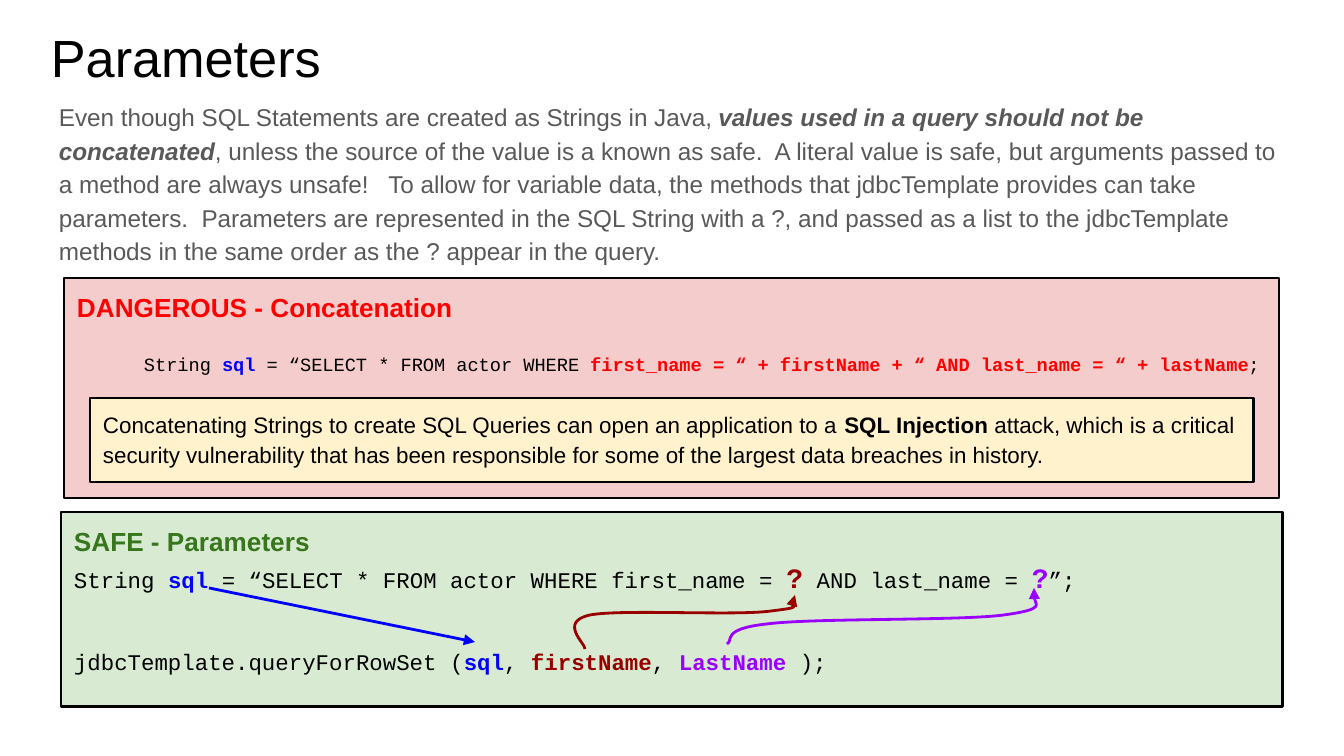
from lxml.etree import SubElement
from pptx import Presentation
from pptx.dml.color import RGBColor as Color
from pptx.enum.shapes import MSO_CONNECTOR as Connector, MSO_SHAPE as Shape
from pptx.enum.text import MSO_ANCHOR as Anchor, PP_ALIGN as Align
from pptx.oxml.ns import qn
from pptx.util import Pt

SCALE = 914400 / 134.4  # EMU per px
BLACK = Color(0x00, 0x00, 0x00)
GREY = Color(0x59, 0x59, 0x59)
RED = Color(0xFF, 0x00, 0x00)
BLUE = Color(0x00, 0x00, 0xFF)
GREEN = Color(0x38, 0x76, 0x1D)
MAROON = Color(0x98, 0x00, 0x00)
PURPLE = Color(0x99, 0x00, 0xFF)
PINK_FILL = Color(0xF4, 0xCC, 0xCC)
GREEN_FILL = Color(0xD9, 0xEA, 0xD3)
CREAM_FILL = Color(0xFF, 0xF2, 0xCC)
SANS, MONO = "Arial", "Courier New"


def px(length):
    return round(length * SCALE)


class Page:
    def __init__(self, deck):
        self.shapes = deck.slides.add_slide(deck.slide_layouts[6]).shapes

    def frame(self, box):
        frame = box.text_frame
        frame.word_wrap = True
        frame.vertical_anchor = Anchor.TOP
        frame.margin_left = frame.margin_right = px(13)
        frame.margin_top = frame.margin_bottom = px(13)
        return frame

    def text(self, *area):
        return self.frame(self.shapes.add_textbox(*map(px, area)))

    def panel(self, area, fill, weight):
        box = self.shapes.add_shape(Shape.RECTANGLE, *map(px, area))
        box.shadow.inherit = False
        box.fill.solid()
        box.fill.fore_color.rgb = fill
        box.line.color.rgb = BLACK
        box.line.width = Pt(weight)
        return self.frame(box)

    def add_spans(self, para, font, size, spans, before=0, spacing=1.0):
        """Each span is (text, colour) plus an optional style."""
        para.alignment = Align.LEFT
        para.space_before = Pt(before)
        para.line_spacing = spacing
        for text, color, *rest in spans:
            style = rest[0] if rest else {}
            span = para.add_run()
            span.text = text
            span.font.name = font
            span.font.size = Pt(style.get("size", size))
            span.font.bold = style.get("bold", False)
            span.font.italic = style.get("italic", False)
            span.font.color.rgb = color

    def stroke(self, shape, color):
        shape.line.color.rgb = color
        shape.line.width = Pt(1.5)
        outline = shape._element.spPr.find(qn("a:ln"))
        SubElement(outline, qn("a:tailEnd"), type="triangle")

    def arrow(self, start, end, color):
        line = self.shapes.add_connector(Connector.STRAIGHT, *map(px, start + end))
        self.stroke(line, color)
        SubElement(line._element.spPr, qn("a:effectLst"))

    def curve(self, points, color):
        """Start point, then two control points and an end for each segment."""
        builder = self.shapes.build_freeform(*points[0], scale=SCALE)
        builder.add_line_segments(points[1:], close=False)
        shape = builder.convert_to_shape()
        shape.shadow.inherit = False
        shape.fill.background()
        # Turn each three straight segments into one cubic segment
        lines = list(shape._element.iter(qn("a:lnTo")))
        for first in range(0, len(lines), 3):
            head, *others = lines[first:first + 3]
            head.tag = qn("a:cubicBezTo")
            for line in others:
                head.append(line[0])
                line.getparent().remove(line)
        self.stroke(shape, color)


def main():
    deck = Presentation()
    deck.slide_width, deck.slide_height = px(1344), px(756)
    page = Page(deck)
    bold = {"bold": True}
    mark = {"bold": True, "size": 15}

    # Title and introduction
    title = page.text(38, 12, 1253, 85)
    page.add_spans(title.paragraphs[0], SANS, 28, [("Parameters", BLACK)])
    intro = page.text(46, 85, 1253, 185)
    page.add_spans(intro.paragraphs[0], SANS, 13, [
        ("Even though SQL Statements are created as Strings in Java, ", GREY),
        ("values used in a query should not be concatenated", GREY,
         {"bold": True, "italic": True}),
        (", unless the source of the value is a known as safe.  A literal value is "
         "safe, but arguments passed to a method are always unsafe!   To allow for "
         "variable data, the methods that jdbcTemplate provides can take parameters.  "
         "Parameters are represented in the SQL String with a ?, and passed as a list "
         "to the jdbcTemplate methods in the same order as the ? appear in the query.",
         GREY),
    ], spacing=1.15)

    # Safe panel
    safe = page.panel((61, 512, 1222, 195), GREEN_FILL, 1.5)
    page.add_spans(safe.paragraphs[0], SANS, 14, [("SAFE - Parameters", GREEN, bold)])
    page.add_spans(safe.add_paragraph(), MONO, 12, [
        ("String ", BLACK), ("sql ", BLUE, bold),
        ("= “SELECT * FROM actor WHERE first_name = ", BLACK), ("?", MAROON, mark),
        (" AND last_name = ", BLACK), ("?", PURPLE, mark), ("”;", BLACK),
    ], before=2)
    page.add_spans(safe.add_paragraph(), MONO, 12, [
        ("jdbcTemplate.queryForRowSet (", BLACK), ("sql", BLUE, bold), (", ", BLACK),
        ("firstName", MAROON, bold), (", ", BLACK), ("LastName", PURPLE, bold),
        (" );", BLACK),
    ], before=29)

    # Arrows from the arguments to their places
    page.curve([(727, 644), (734, 641), (720, 629), (767, 624), (813, 618),
                (960, 621), (1004, 615), (1048, 609), (1030, 593), (1034, 588)], PURPLE)
    page.curve([(585, 649), (586, 644), (558, 622), (590, 615), (621, 609),
                (737, 616), (771, 611), (805, 607), (792, 595), (795, 595)], MAROON)
    page.arrow((209, 588), (475, 642), BLUE)

    # Dangerous panel and its warning
    danger = page.panel((64, 278, 1215, 220), PINK_FILL, 0.75)
    page.add_spans(danger.paragraphs[0], SANS, 14,
                   [("DANGEROUS - Concatenation", RED, bold)])
    code = danger.add_paragraph()
    code._p.get_or_add_pPr().set("indent", str(px(67)))
    page.add_spans(code, MONO, 10, [
        ("String ", BLACK), ("sql ", BLUE, bold),
        ("= “SELECT * FROM actor WHERE ", BLACK),
        ("first_name = “ + firstName + “ AND last_name = “ + lastName", RED, bold),
        (";", BLACK),
    ], before=16.5)
    warning = page.panel((90, 398, 1164, 84), CREAM_FILL, 1.5)
    page.add_spans(warning.paragraphs[0], SANS, 12, [
        ("Concatenating Strings to create SQL Queries can open an application to a ", BLACK),
        ("SQL Injection", BLACK, bold),
        (" attack, which is a critical security vulnerability that has been responsible "
         "for some of the largest data breaches in history.", BLACK),
        (" ", BLACK, {"size": 14}),
    ])

    deck.save("out.pptx")


if __name__ == "__main__":
    main()
